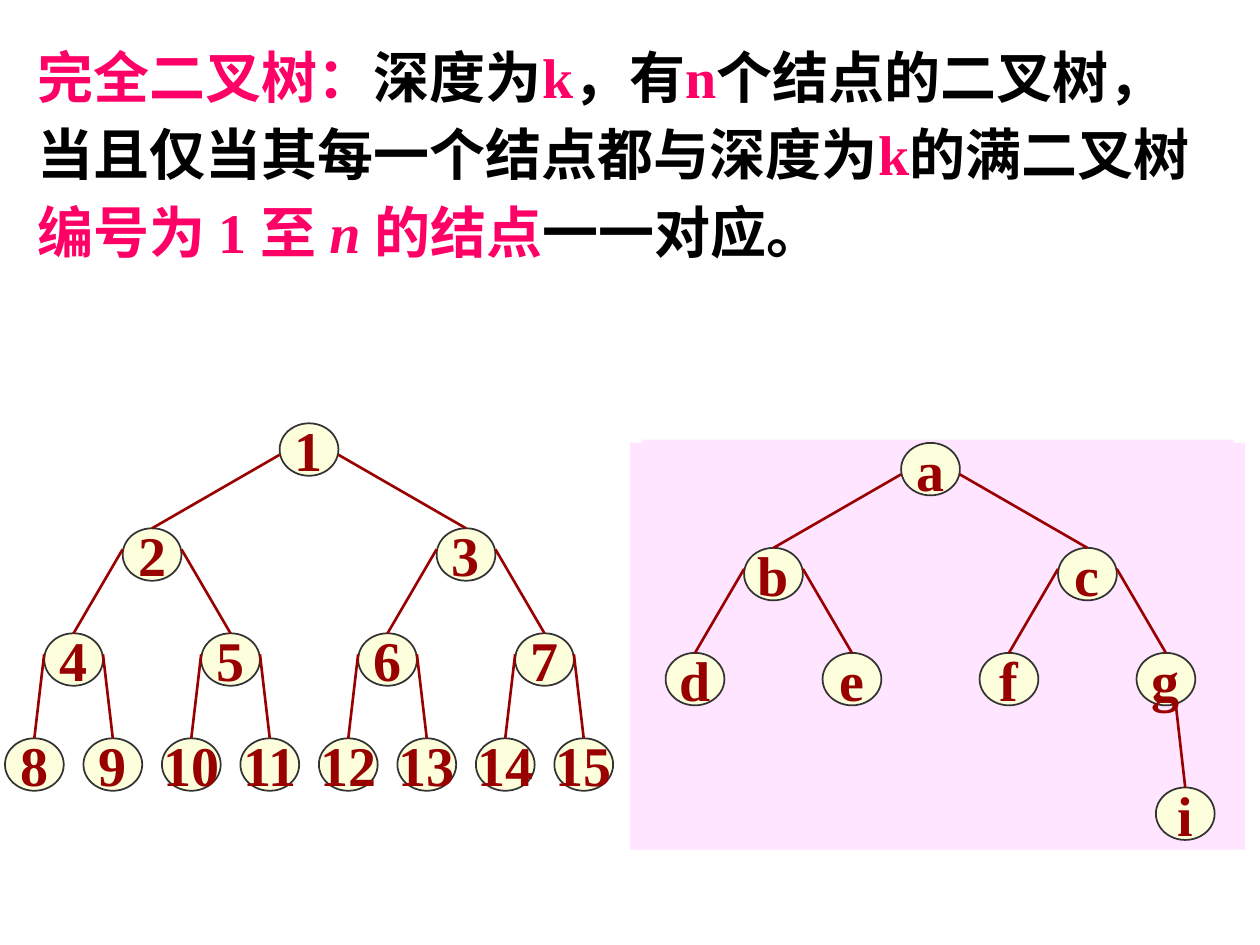
from lxml import etree
from pptx import Presentation
from pptx.dml.color import RGBColor
from pptx.enum.shapes import MSO_CONNECTOR, MSO_SHAPE
from pptx.enum.text import MSO_ANCHOR, PP_ALIGN
from pptx.oxml.ns import qn
from pptx.util import Pt

ELLIPSE, RECTANGLE = MSO_SHAPE.OVAL, MSO_SHAPE.RECTANGLE
STRAIGHT = MSO_CONNECTOR.STRAIGHT
MIDDLE, CENTER = MSO_ANCHOR.MIDDLE, PP_ALIGN.CENTER

FONT = "Times New Roman"
TEXT_SIZE = 32
BLACK, PINK, DARK_RED = "000000", "FF0066", "990000"
CREAM, GRAY, LILAC = "FCFEDC", "333333", "FFE5FF"

NODE_WIDTH, NODE_HEIGHT = 33.6, 30
LEVEL_STEP = 60
CHILD_OFFSET = 89.7  # from the root; halves at every level

DEFINITION = [
    ("完全二叉树：", PINK, False),
    ("深度为", BLACK, False),
    ("k", PINK, False),
    ("，有", BLACK, False),
    ("n", PINK, False),
    ("个结点的二叉树，当且仅当其每一个结点都与深度为", BLACK, False),
    ("k", PINK, False),
    ("的满二叉树", BLACK, False),
    ("编号为 1 至 ", PINK, False),
    ("n ", PINK, True),
    ("的结点", PINK, False),
    ("一一对应。", BLACK, False),
]


def color(value):
    return RGBColor.from_string(value)


def style_font(font, value, italic=False):
    font.name = FONT
    font.size = Pt(TEXT_SIZE)
    font.bold = True
    font.italic = italic
    font.color.rgb = color(value)


def add_panel(page, left, top, width, height):
    panel = page.shapes.add_shape(RECTANGLE, Pt(left), Pt(top), Pt(width), Pt(height))
    panel.shadow.inherit = False
    panel.fill.solid()
    panel.fill.fore_color.rgb = color(LILAC)
    panel.line.fill.background()


def add_node(page, center, top, label):
    node = page.shapes.add_shape(
        ELLIPSE, Pt(center - NODE_WIDTH / 2), Pt(top), Pt(NODE_WIDTH), Pt(NODE_HEIGHT))
    node.shadow.inherit = False
    node.fill.solid()
    node.fill.fore_color.rgb = color(CREAM)
    node.line.color.rgb = color(GRAY)
    node.line.width = Pt(1)
    frame = node.text_frame
    frame.word_wrap = False
    frame.vertical_anchor = MIDDLE
    frame.text = label
    para = frame.paragraphs[0]
    para.alignment = CENTER
    style_font(para.runs[0].font, DARK_RED)


def add_edge(page, x1, y1, x2, y2):
    edge = page.shapes.add_connector(STRAIGHT, Pt(x1), Pt(y1), Pt(x2), Pt(y2))
    edge.line.color.rgb = color(DARK_RED)
    edge.line.width = Pt(1.5)
    etree.SubElement(edge._element.spPr, qn("a:effectLst"))


def add_tree(page, root_center, root_top, labels):
    """Draw labels, given level by level, as a binary tree."""
    places = [(root_center, root_top, 0)]
    for index in range(1, len(labels)):
        center, top, level = places[(index - 1) // 2]
        side = -1 if index % 2 else 1
        child_center = center + side * CHILD_OFFSET / 2 ** level
        places.append((child_center, top + LEVEL_STEP, level + 1))
    for label, (center, top, _) in zip(labels, places):
        add_node(page, center, top, label)
    for index in range(1, len(labels)):
        center, top, level = places[(index - 1) // 2]
        child_center, child_top, _ = places[index]
        side = -1 if index % 2 else 1
        drop = 12 if level else 18
        add_edge(page, center + side * NODE_WIDTH / 2, top + drop, child_center, child_top)


def add_definition(page):
    box = page.shapes.add_textbox(Pt(14.4), Pt(15.1), Pt(674.6), Pt(139.7))
    frame = box.text_frame
    frame.word_wrap = True
    para = frame.paragraphs[0]
    para.line_spacing = 1.15
    for text, value, italic in DEFINITION:
        span = para.add_run()
        span.text = text
        style_font(span.font, value, italic)


def main():
    deck = Presentation()
    deck.slide_width, deck.slide_height = Pt(720), Pt(540)
    page = deck.slides.add_slide(deck.slide_layouts[6])

    add_tree(page, 176.6, 241.9, [str(number) for number in range(1, 16)])

    add_panel(page, 367.2, 251.3, 337.7, 232.6)
    add_panel(page, 360, 253, 351.4, 232.6)
    add_tree(page, 531.7, 253.1, "abcdefg")
    add_node(page, 677.3, 450, "i")
    add_edge(page, 671.8, 401.8, 677.3, 450)

    add_definition(page)
    deck.save("out.pptx")


if __name__ == "__main__":
    main()
